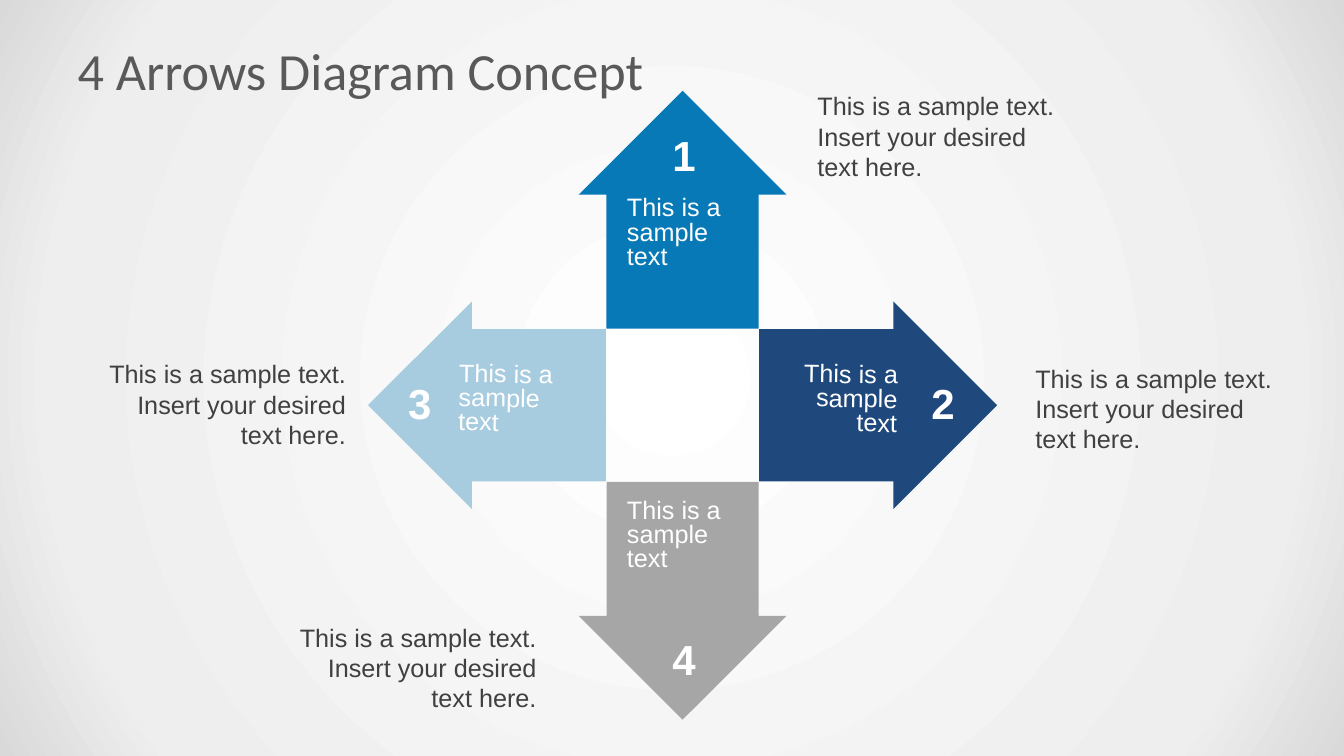
"""Build a slide with four arrows pointing outward from a central square."""
from math import cos, radians, sin

from pptx import Presentation
from pptx.dml.color import RGBColor
from pptx.enum.shapes import MSO_SHAPE
from pptx.enum.text import MSO_ANCHOR, PP_ALIGN
from pptx.oxml import parse_xml
from pptx.oxml.ns import nsdecls, qn
from pptx.util import Inches, Pt

RIGHT_ARROW = MSO_SHAPE.RIGHT_ARROW
MIDDLE = MSO_ANCHOR.MIDDLE
LEFT, CENTER, RIGHT = PP_ALIGN.LEFT, PP_ALIGN.CENTER, PP_ALIGN.RIGHT

BLUE = RGBColor(0x07, 0x79, 0xB7)
NAVY = RGBColor(0x1F, 0x49, 0x7D)
PALE_BLUE = RGBColor(0xA7, 0xCC, 0xDF)
GRAY = RGBColor(0xA6, 0xA6, 0xA6)
WHITE = RGBColor(0xFF, 0xFF, 0xFF)
TITLE_GRAY = RGBColor(0x59, 0x59, 0x59)
TEXT_GRAY = RGBColor(0x40, 0x40, 0x40)

CENTER_X, CENTER_Y = 6.77, 4.02
REACH = 1.94
ARROW_LENGTH, ARROW_WIDTH = 2.36, 2.06
LABEL = "This is a sample text"
NOTE = "This is a sample text. Insert your desired text here."


def format_text(shape, text, font, size, color, align=LEFT):
    """Fill a shape with one formatted paragraph and return the paragraph."""
    shape.text_frame.text = text
    para = shape.text_frame.paragraphs[0]
    para.alignment = align
    span = para.runs[0]
    span.font.name = font
    span.font.size = Pt(size)
    span.font.color.rgb = color
    return para


def add_text(left, top, width, height, text, size, color, align):
    """Add a wrapped text box and return it with its paragraph."""
    box = page.shapes.add_textbox(Inches(left), Inches(top), Inches(width), Inches(height))
    box.text_frame.word_wrap = True
    return box, format_text(box, text, "Arial", size, color, align)


deck = Presentation()
deck.slide_width, deck.slide_height = Inches(13.33), Inches(7.5)
page = deck.slides.add_slide(deck.slide_layouts[5])

page.background.fill.gradient()
gradient = page.element.find(".//" + qn("a:gradFill"))
stops = "".join(
    f'<a:gs pos="{share * 1000}"><a:srgbClr val="{color}"/></a:gs>'
    for share, color in [(0, "FFFFFF"), (81, "EEEEEE"), (100, "D9D9D9")]
)
gradient.getparent().replace(gradient, parse_xml(
    f'<a:gradFill {nsdecls("a")} rotWithShape="1"><a:gsLst>{stops}</a:gsLst>'
    '<a:path path="circle"><a:fillToRect l="50000" t="50000" r="50000" b="50000"/>'
    "</a:path></a:gradFill>"
))

title = page.shapes.title
title.left, title.top = Inches(0.67), Inches(0.3)
title.width, title.height = Inches(12), Inches(0.78)
format_text(title, "4 Arrows Diagram Concept", "Calibri", 37.3, TITLE_GRAY)
title.text_frame.vertical_anchor = MIDDLE

for angle, color in [(90, GRAY), (0, NAVY), (180, PALE_BLUE), (270, BLUE)]:
    left = CENTER_X + REACH * cos(radians(angle)) - ARROW_LENGTH / 2
    top = CENTER_Y + REACH * sin(radians(angle)) - ARROW_WIDTH / 2
    arrow = page.shapes.add_shape(
        RIGHT_ARROW, Inches(left), Inches(top), Inches(ARROW_LENGTH), Inches(ARROW_WIDTH)
    )
    arrow.adjustments[0], arrow.adjustments[1] = 0.733, 0.5
    arrow.rotation = angle
    arrow.shadow.inherit = False
    arrow.fill.solid()
    arrow.fill.fore_color.rgb = color
    arrow.line.fill.background()

numbers = [
    ("1", 6.57, 1.24, 0.34, CENTER),
    ("2", 9.14, 3.7, 0.4, LEFT),
    ("3", 3.95, 3.7, 0.48, LEFT),
    ("4", 6.57, 6.24, 0.34, CENTER),
]
for number, left, top, width, align in numbers:
    box, para = add_text(left, top, width, 0.61, number, 30, WHITE, align)
    para.runs[0].font.bold = True

labels = [
    (6.12, 1.91, 1.25, 0, LEFT),
    (6.12, 4.91, 1.25, 0, LEFT),
    (4.45, 3.56, 1.42, 1, LEFT),
    (7.7, 3.56, 1.3, 1, RIGHT),
]
for left, top, width, tilt, align in labels:
    box, para = add_text(left, top, width, 0.83, LABEL, 18, WHITE, align)
    box.rotation = tilt
    para.line_spacing = 0.8

notes = [(8.01, 0.85, LEFT), (10.17, 3.55, LEFT), (2.75, 6.12, RIGHT), (0.86, 3.51, RIGHT)]
for left, top, align in notes:
    add_text(left, top, 2.67, 1.01, NOTE, 18, TEXT_GRAY, align)

deck.save("out.pptx")
